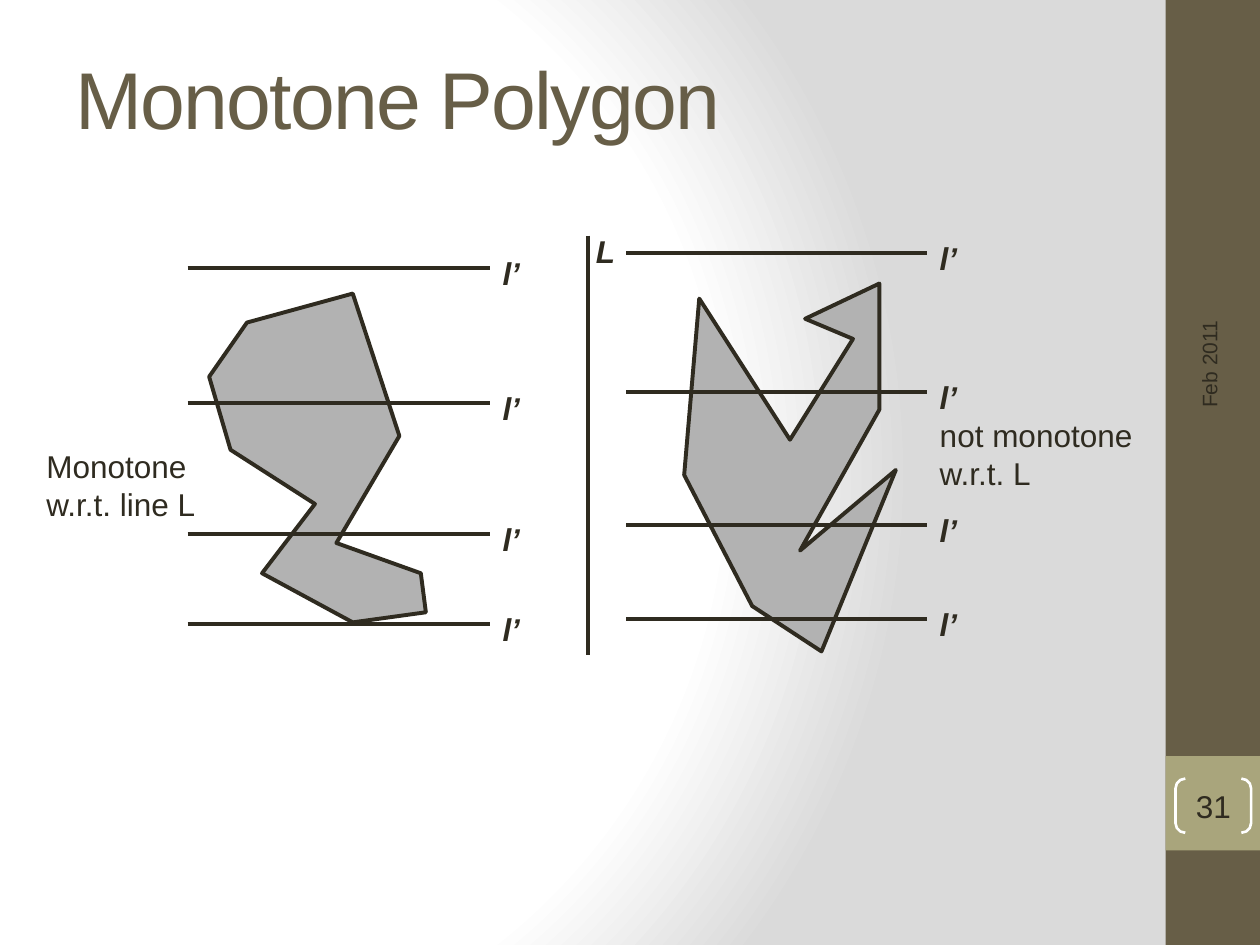
from lxml import etree
from pptx import Presentation
from pptx.dml.color import RGBColor
from pptx.enum.shapes import MSO_CONNECTOR, MSO_SHAPE
from pptx.enum.text import MSO_ANCHOR, PP_ALIGN
from pptx.oxml import parse_xml
from pptx.oxml.ns import qn
from pptx.util import Inches, Pt

BROWN, OLIVE, INK, GRAY, WHITE = "675E47", "A9A57C", "2F2B20", "B2B2B2", "FFFFFF"
BACKGROUND_STOPS = [(0, WHITE), (75, WHITE), (100, "DADADA")]
SWEEP_LABEL = "l’"

# Each figure: polygon corners, sweep line span and heights, caption and its box
FIGURES = [
    {
        "corners": [(2.8, 4.94), (2.08, 4.55), (2.5, 4), (1.83, 3.57), (1.66, 2.99), (1.96, 2.56),
                    (2.8, 2.33), (3.17, 3.46), (2.67, 4.31), (3.34, 4.55), (3.38, 4.86)],
        "span": (1.49, 3.89),
        "heights": [2.13, 3.2, 4.24, 4.95],
        "caption": "Monotone w.r.t. line L",
        "box": (0.27, 3.5, 1.43, 0.71),
    },
    {
        "corners": [(5.55, 2.37), (5.43, 3.77), (5.97, 4.81), (6.52, 5.17), (7.11, 3.73), (6.35, 4.37),
                    (6.98, 3.25), (6.98, 2.25), (6.39, 2.53), (6.77, 2.69), (6.27, 3.49)],
        "span": (4.97, 7.36),
        "heights": [2.01, 3.11, 4.17, 4.91],
        "caption": "not monotone w.r.t. L",
        "box": (7.36, 3.25, 1.81, 0.71),
    },
]


def rgb(color):
    return RGBColor.from_string(color)


def set_background(slide):
    """Fill the slide with a circular gradient, which python-pptx cannot set itself."""
    stops = "".join(f'<a:gs pos="{pos * 1000}"><a:srgbClr val="{color}"/></a:gs>'
                    for pos, color in BACKGROUND_STOPS)
    grad = parse_xml(
        '<a:gradFill xmlns:a="http://schemas.openxmlformats.org/drawingml/2006/main" rotWithShape="1">'
        f'<a:gsLst>{stops}</a:gsLst><a:path path="circle">'
        '<a:fillToRect l="20000" t="50000" r="100000" b="50000"/></a:path></a:gradFill>')
    slide.background.fill.solid()
    solid = slide.element.find(".//" + qn("p:bgPr")).find(qn("a:solidFill"))
    solid.getparent().replace(solid, grad)


def style(s, fill=None, line=None, width=2.25):
    s.shadow.inherit = False
    if fill:
        s.fill.solid()
        s.fill.fore_color.rgb = rgb(fill)
    else:
        s.fill.background()
    if line:
        s.line.color.rgb = rgb(line)
        s.line.width = Pt(width)
    else:
        s.line.fill.background()


def write(s, text, size=18, color=INK, emphasis=False, align=PP_ALIGN.LEFT, anchor=MSO_ANCHOR.TOP):
    tf = s.text_frame
    tf.text = text
    tf.word_wrap = True
    tf.vertical_anchor = anchor
    p = tf.paragraphs[0]
    p.alignment = align
    r = p.runs[0]
    r.font.name = "Arial"
    r.font.size = Pt(size)
    r.font.color.rgb = rgb(color)
    if emphasis:
        r.font.bold = r.font.italic = True
    return r


def add_text(slide, box, text, **options):
    s = slide.shapes.add_textbox(*map(Inches, box))
    return s, write(s, text, **options)


def add_shape(slide, kind, box, **options):
    s = slide.shapes.add_shape(kind, *map(Inches, box))
    style(s, **options)
    return s


def add_line(slide, *ends):
    c = slide.shapes.add_connector(MSO_CONNECTOR.STRAIGHT, *map(Inches, ends))
    c.line.color.rgb = rgb(INK)
    c.line.width = Pt(2.25)
    etree.SubElement(c.element.spPr, qn("a:effectLst"))


def add_polygon(slide, corners):
    first, *rest = [(Inches(x), Inches(y)) for x, y in corners]
    builder = slide.shapes.build_freeform(*first)
    builder.add_line_segments(rest, close=True)
    style(builder.convert_to_shape(), fill=GRAY, line=INK)


def add_figure(slide, figure):
    add_polygon(slide, figure["corners"])
    left, right = figure["span"]
    for y in figure["heights"]:
        add_line(slide, left, y, right, y)
        add_text(slide, (right, y - 0.16, 0.46, 0.38), SWEEP_LABEL, emphasis=True)
    add_text(slide, figure["box"], figure["caption"])


def add_sidebar(slide):
    add_shape(slide, MSO_SHAPE.RECTANGLE, (9.25, 0, 0.75, 7.5), fill=BROWN)
    add_shape(slide, MSO_SHAPE.RECTANGLE, (9.25, 6, 0.75, 0.75), fill=OLIVE)
    date, _ = add_text(slide, (8.26, 1.8, 2.67, 0.4), "Feb 2011", size=12, anchor=MSO_ANCHOR.MIDDLE)
    date.rotation = 270
    number = add_shape(slide, MSO_SHAPE.DOUBLE_BRACKET, (9.33, 6.18, 0.6, 0.43), line=WHITE, width=1.5)
    number.adjustments[0] = 0.18
    tf = number.text_frame
    tf.margin_left = tf.margin_right = tf.margin_top = tf.margin_bottom = 0
    write(number, "31", align=PP_ALIGN.CENTER, anchor=MSO_ANCHOR.MIDDLE)


def main():
    prs = Presentation()
    prs.slide_width, prs.slide_height = Inches(10), Inches(7.5)
    slide = prs.slides.add_slide(prs.slide_layouts[6])
    set_background(slide)
    add_sidebar(slide)
    add_line(slide, 4.67, 1.87, 4.67, 5.2)
    add_text(slide, (4.63, 1.79, 0.35, 0.4), "L", emphasis=True)
    for figure in FIGURES:
        add_figure(slide, figure)
    _, title = add_text(slide, (0.5, 0.3, 8.33, 0.95), "Monotone Polygon", size=46, color=BROWN,
                        anchor=MSO_ANCHOR.MIDDLE)
    title.font._element.set("spc", "-100")
    prs.save("out.pptx")


if __name__ == "__main__":
    main()
